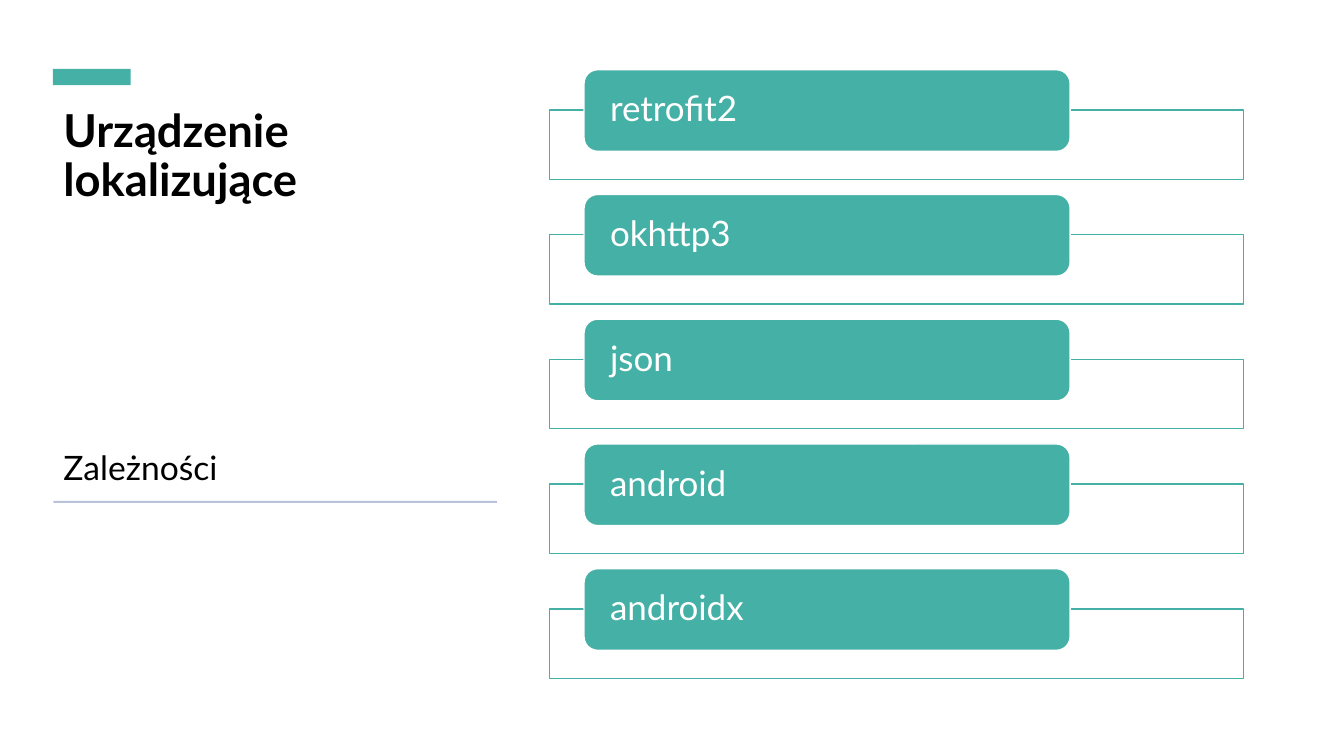
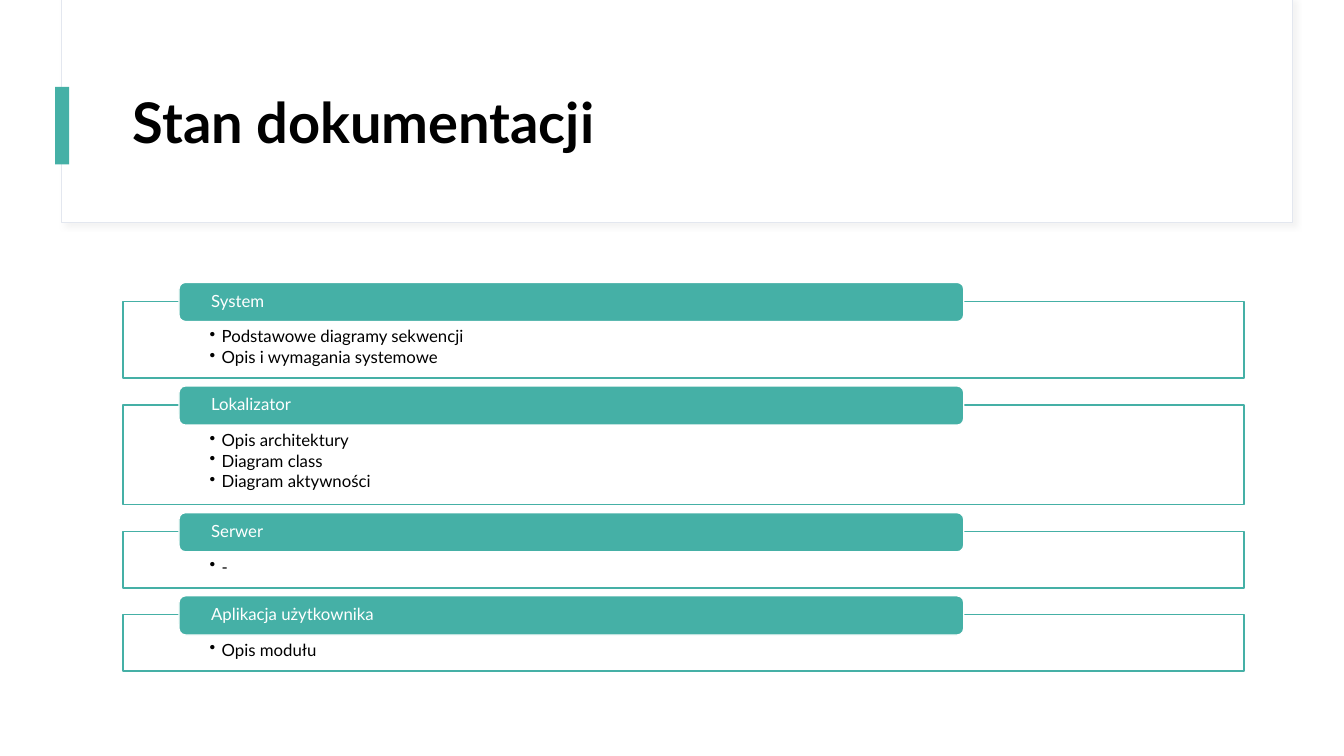
from dataclasses import dataclass

from lxml.etree import SubElement
from pptx import Presentation
from pptx.dml.color import RGBColor
from pptx.enum.shapes import MSO_SHAPE as Preset
from pptx.enum.text import MSO_ANCHOR as Anchor, PP_ALIGN as Align
from pptx.oxml import parse_xml
from pptx.oxml.ns import nsdecls, qn
from pptx.shapes.autoshape import Shape
from pptx.slide import Slide
from pptx.text.text import TextFrame
from pptx.util import Pt

# Shared look
COLORS = {
    "accent": "45B0A6",
    "paper": "FFFFFF",
    "ink": "000000",
    "rule": "B9C2D8",
    "band_edge": "E3E7EF",
    "band_shadow": "D9D9D9",
}
FONT = "Lato"
BULLET_INDENT = 8.6


@dataclass(frozen=True)
class Box:
    left: float
    top: float
    width: float
    height: float

    def lengths(self) -> tuple[Pt, Pt, Pt, Pt]:
        return Pt(self.left), Pt(self.top), Pt(self.width), Pt(self.height)


@dataclass(frozen=True)
class TextStyle:
    size: float
    color: str = "ink"
    bold: bool = False
    line_spacing: float = 0.9
    space_after: float = 0
    bullet: bool = False


@dataclass(frozen=True)
class Section:
    heading: str
    height: float
    items: tuple[str, ...] = ()


@dataclass(frozen=True)
class SectionList:
    left: float
    top: float
    width: float
    gap: float          # between one frame and the next
    tab_rise: float     # how far a heading tab stands above its frame
    tab_height: float
    tab_inset: float
    heading_size: float
    sections: tuple[Section, ...]


ITEM_STYLE = TextStyle(12, space_after=1.8, bullet=True)

DEPENDENCIES = SectionList(
    left=392.4, top=78.5, width=496, gap=39.5,
    tab_rise=28.7, tab_height=58.3, tab_inset=15.8, heading_size=25,
    sections=tuple(
        Section(name, 49.6)
        for name in ("retrofit2", "okhttp3", "json", "android", "androidx")
    ),
)

DOCUMENTATION = SectionList(
    left=87.8, top=215.2, width=800.8, gap=19.1,
    tab_rise=13.5, tab_height=28, tab_inset=21.6, heading_size=12,
    sections=(
        Section("System", 54.9,
                ("Podstawowe diagramy sekwencji", "Opis i wymagania systemowe")),
        Section("Lokalizator", 71.4,
                ("Opis architektury", "Diagram class", "Diagram aktywności")),
        Section("Serwer", 40.3, ("-",)),
        Section("Aplikacja użytkownika", 40.3, ("Opis modułu",)),
    ),
)


# Drawing helpers
def rgb(name: str) -> RGBColor:
    return RGBColor.from_string(COLORS[name])


def add_block(slide: Slide, box: Box, fill: str, line: str | None = None,
              line_width: float = 1, preset: Preset = Preset.RECTANGLE) -> Shape:
    block = slide.shapes.add_shape(preset, *box.lengths())
    block.shadow.inherit = False
    block.fill.solid()
    block.fill.fore_color.rgb = rgb(fill)
    if line:
        block.line.color.rgb = rgb(line)
        block.line.width = Pt(line_width)
    else:
        block.line.fill.background()
    return block


def write(frame: TextFrame, lines: tuple[str, ...], style: TextStyle,
          anchor: Anchor, insets: tuple[float, float, float, float],
          wrap: bool = True) -> None:
    frame.word_wrap = wrap
    frame.vertical_anchor = anchor
    (frame.margin_left, frame.margin_top,
     frame.margin_right, frame.margin_bottom) = map(Pt, insets)
    for index, line in enumerate(lines):
        paragraph = frame.add_paragraph() if index else frame.paragraphs[0]
        paragraph.alignment = Align.LEFT
        paragraph.line_spacing = style.line_spacing
        paragraph.space_after = Pt(style.space_after)
        if style.bullet:
            properties = paragraph._p.get_or_add_pPr()
            properties.set("marL", str(Pt(BULLET_INDENT)))
            properties.set("indent", str(-Pt(BULLET_INDENT)))
            SubElement(properties, qn("a:buChar"), char="•")
        run = paragraph.add_run()
        run.text = line
        run.font.name = FONT
        run.font.size = Pt(style.size)
        run.font.bold = style.bold
        run.font.color.rgb = rgb(style.color)


def add_text(slide: Slide, box: Box, text: str, style: TextStyle,
             anchor: Anchor, wrap: bool = True) -> None:
    label = slide.shapes.add_textbox(*box.lengths())
    write(label.text_frame, (text,), style, anchor, (7.2, 3.6, 7.2, 3.6), wrap)


def add_title(slide: Slide, box: Box, text: str, size: float,
              anchor: Anchor) -> None:
    add_text(slide, box, text, TextStyle(size, bold=True), anchor)


def add_title_band(slide: Slide) -> None:
    # The upper edge lies just above the slide, so only three sides show
    band = add_block(slide, Box(44, -2, 879, 161), "paper", "band_edge", 0.75)
    properties = band._element.spPr
    properties.remove(properties.find(qn("a:effectLst")))
    properties.append(parse_xml(
        f'<a:effectLst {nsdecls("a")}>'
        f'<a:outerShdw blurRad="{Pt(4)}" dist="{Pt(3)}" dir="2700000">'
        f'<a:srgbClr val="{COLORS["band_shadow"]}"><a:alpha val="30000"/>'
        '</a:srgbClr></a:outerShdw></a:effectLst>'))


def add_sections(slide: Slide, group: SectionList) -> None:
    top = group.top
    for section in group.sections:
        body = add_block(slide, Box(group.left, top, group.width, section.height),
                         "paper", "accent")
        if section.items:
            write(body.text_frame, section.items, ITEM_STYLE, Anchor.TOP,
                  (62, 19.4, 62, 6.5))
        tab_box = Box(group.left + 0.05 * group.width, top - group.tab_rise,
                      0.7 * group.width, group.tab_height)
        tab = add_block(slide, tab_box, "accent", "paper",
                        preset=Preset.ROUNDED_RECTANGLE)
        write(tab.text_frame, (section.heading,),
              TextStyle(group.heading_size, "paper"), Anchor.MIDDLE,
              (group.tab_inset, 0, group.tab_inset, 0))
        top += section.height + group.gap


# Slides
def build_dependencies(slide: Slide) -> None:
    add_title(slide, Box(38.2, 69.1, 300.2, 82.1), "Urządzenie lokalizujące",
              32.4, Anchor.BOTTOM)
    add_block(slide, Box(37.8, 49.3, 55.5, 11.5), "accent")
    add_block(slide, Box(38.2, 357.8, 316.8, 1.4), "rule")
    add_text(slide, Box(38.2, 316, 136, 36), "Zależności",
             TextStyle(24, line_spacing=1.0), Anchor.TOP, wrap=False)
    add_sections(slide, DEPENDENCIES)


def build_documentation(slide: Slide) -> None:
    add_title_band(slide)
    add_block(slide, Box(39.4, 62, 10, 55.4), "accent")
    add_title(slide, Box(87.8, 43.2, 800.8, 92.9), "Stan dokumentacji",
              40, Anchor.MIDDLE)
    add_sections(slide, DOCUMENTATION)


def main() -> None:
    deck = Presentation()
    deck.slide_width, deck.slide_height = Pt(960), Pt(540)
    blank = deck.slide_layouts[6]
    for build in (build_dependencies, build_documentation):
        build(deck.slides.add_slide(blank))
    deck.save("out.pptx")


if __name__ == "__main__":
    main()
